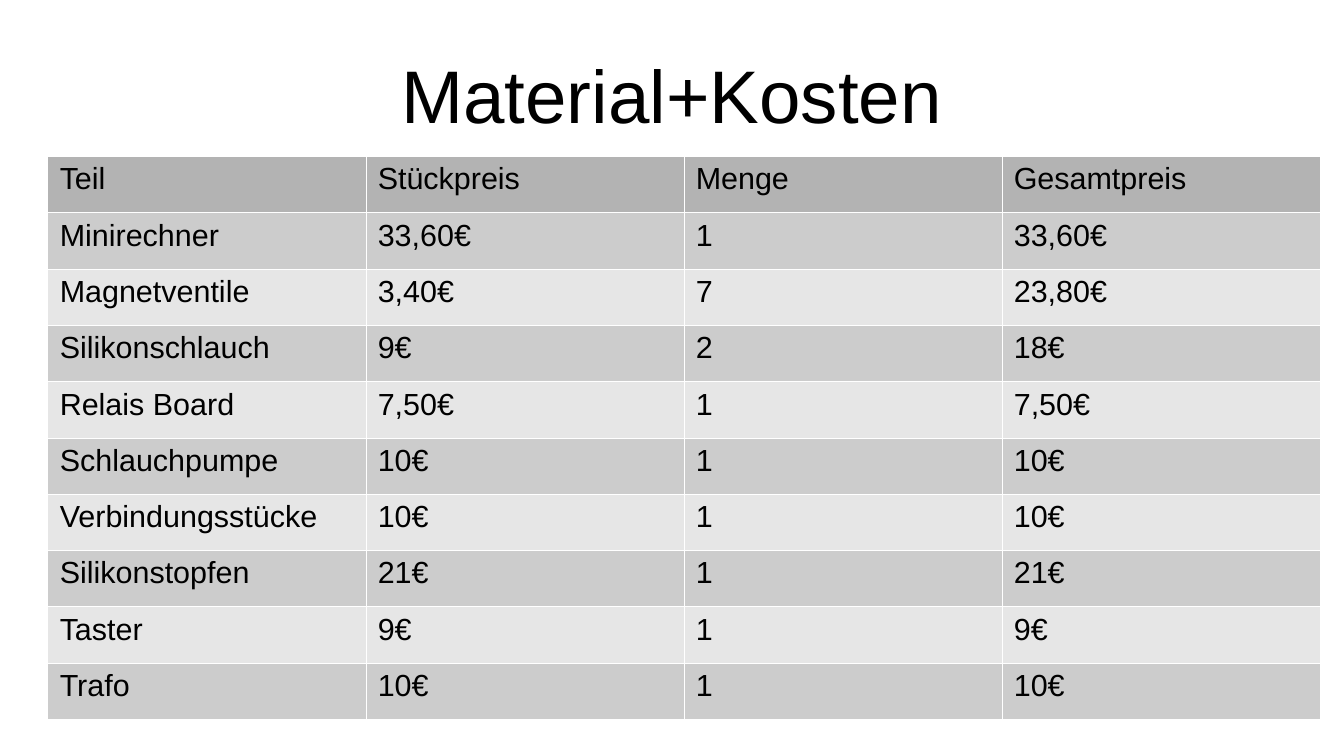
from dataclasses import dataclass

from lxml.etree import SubElement
from pptx import Presentation
from pptx.dml.color import RGBColor
from pptx.enum.text import MSO_ANCHOR, MSO_AUTO_SIZE, PP_ALIGN
from pptx.oxml.ns import qn
from pptx.util import Inches, Pt


@dataclass(frozen=True)
class Theme:
    font: str = "Arial"
    ink: str = "000000"
    head: str = "B3B3B3"
    bands: tuple = ("CCCCCC", "E6E6E6")
    rule: str = "FFFFFF"
    rule_pt: float = 0.06
    title_pt: int = 44
    body_pt: int = 18


THEME = Theme()

COSTS = [
    ("Teil", "Stückpreis", "Menge", "Gesamtpreis"),
    ("Minirechner", "33,60€", "1", "33,60€"),
    ("Magnetventile", "3,40€", "7", "23,80€"),
    ("Silikonschlauch", "9€", "2", "18€"),
    ("Relais Board", "7,50€", "1", "7,50€"),
    ("Schlauchpumpe", "10€", "1", "10€"),
    ("Verbindungsstücke", "10€", "1", "10€"),
    ("Silikonstopfen", "21€", "1", "21€"),
    ("Taster", "9€", "1", "9€"),
    ("Trafo", "10€", "1", "10€"),
]


def write(frame, text, size=THEME.body_pt, color=THEME.ink,
          align=PP_ALIGN.LEFT):
    para = frame.paragraphs[0]
    para.alignment = align
    run = para.add_run()
    run.text = text
    run.font.name = THEME.font
    run.font.size = Pt(size)
    run.font.color.rgb = RGBColor.from_string(color)


def rule_cell(cell):
    props = cell._tc.get_or_add_tcPr()
    for side in ("lnL", "lnR", "lnT", "lnB"):
        line = SubElement(props, qn(f"a:{side}"), w=str(Pt(THEME.rule_pt)))
        fill = SubElement(line, qn("a:solidFill"))
        SubElement(fill, qn("a:srgbClr"), val=THEME.rule)


def add_title(slide, text, left, top, width, height):
    title = slide.shapes.title
    title.left, title.top = Inches(left), Inches(top)
    title.width, title.height = Inches(width), Inches(height)
    frame = title.text_frame
    frame.margin_left = frame.margin_right = 0
    frame.margin_top = frame.margin_bottom = 0
    frame.word_wrap = True
    frame.auto_size = MSO_AUTO_SIZE.NONE
    frame.vertical_anchor = MSO_ANCHOR.MIDDLE
    write(frame, text, size=THEME.title_pt, align=PP_ALIGN.CENTER)


def add_costs(slide, data, left, top, width, height):
    # Equal rows and columns fill the box
    table = slide.shapes.add_table(
        len(data), len(data[0]), Inches(left), Inches(top),
        Inches(width), Inches(height)).table
    # Header first, then alternating bands
    for i, row in enumerate(data):
        shade = THEME.bands[(i - 1) % 2] if i else THEME.head
        for j, text in enumerate(row):
            cell = table.cell(i, j)
            rule_cell(cell)
            cell.fill.solid()
            cell.fill.fore_color.rgb = RGBColor.from_string(shade)
            cell.margin_left = cell.margin_right = Inches(0.1)
            cell.margin_top = cell.margin_bottom = Inches(0.05)
            write(cell.text_frame, text)


# Deck with one title-only slide
deck = Presentation()
deck.slide_width, deck.slide_height = Inches(11.02), Inches(6.2)
slide = deck.slides.add_slide(deck.slide_layouts[5])

add_title(slide, "Material+Kosten", 0.55, 0.25, 9.92, 1.04)
add_costs(slide, COSTS, 0.39, 1.28, 10.43, 4.62)

deck.save("out.pptx")
